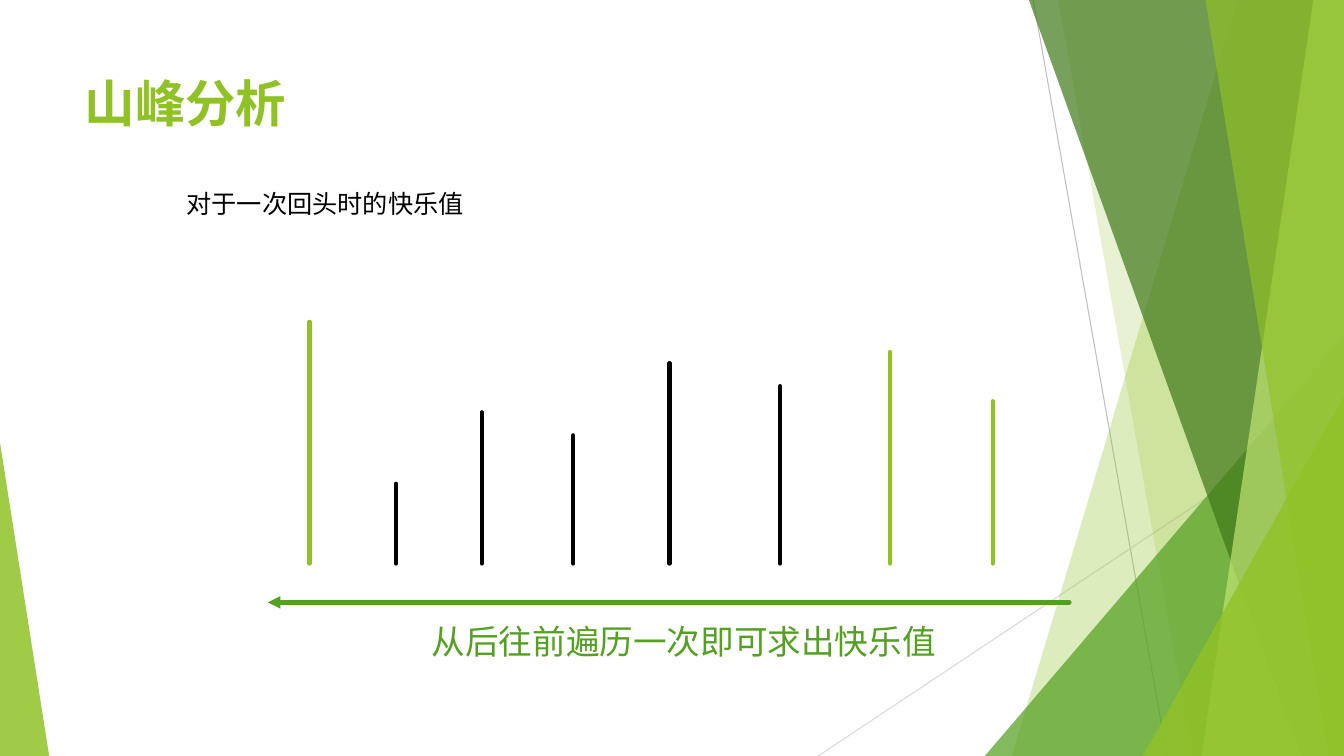
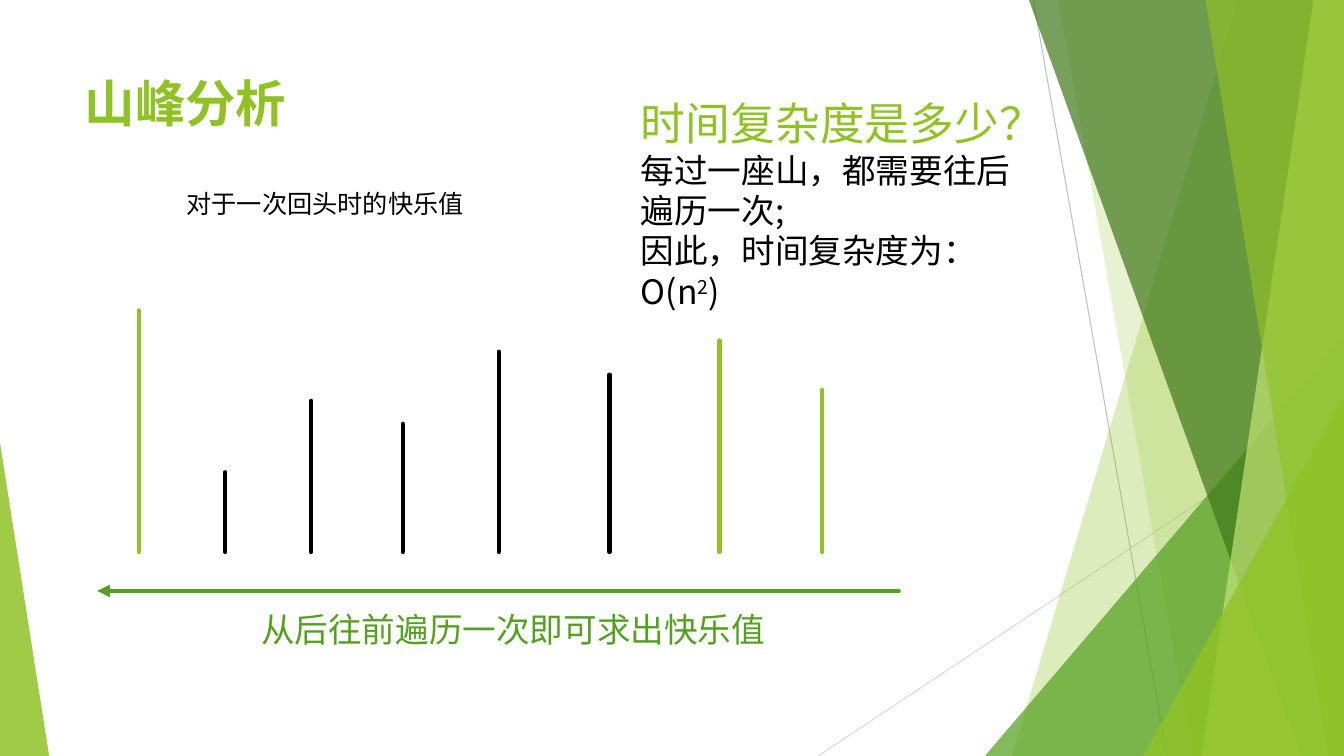
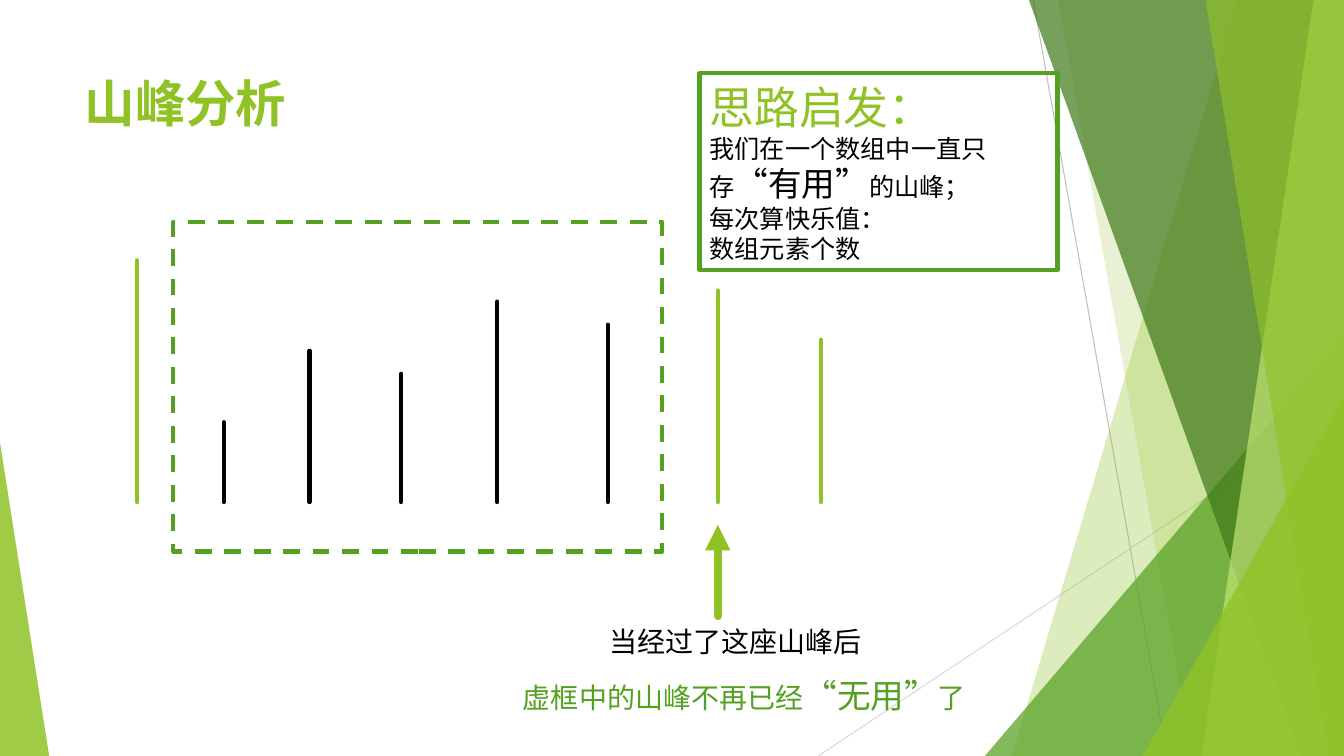
from lxml.etree import SubElement
from pptx import Presentation
from pptx.dml.color import RGBColor
from pptx.enum.dml import MSO_LINE
from pptx.enum.shapes import MSO_CONNECTOR, MSO_SHAPE
from pptx.enum.text import MSO_ANCHOR, MSO_AUTO_SIZE, PP_ALIGN
from pptx.oxml.ns import qn
from pptx.util import Cm, Pt

# Colours, fonts and slide size
LIME = RGBColor(0x90, 0xC2, 0x26)
GREEN = RGBColor(0x54, 0xA0, 0x21)
DARK_GREEN = RGBColor(0x3F, 0x78, 0x19)
PALE_LIME = RGBColor(0xC0, 0xE4, 0x74)
GREY = RGBColor(0xBF, 0xBF, 0xBF)
LIGHT_GREY = RGBColor(0xD9, 0xD9, 0xD9)
BLACK = RGBColor(0, 0, 0)
KARLA = "Karla"
NOTO = "Noto Sans CJK SC"
WIDTH, HEIGHT = 33.87, 19.05


def add_line(slide, start, end, color, width, cap="rnd", arrow=False):
    """Draw a straight line between two points given in centimetres."""
    points = [Cm(value) for value in (*start, *end)]
    connector = slide.shapes.add_connector(MSO_CONNECTOR.STRAIGHT, *points)
    connector.line.color.rgb = color
    connector.line.width = Pt(width)
    properties = connector.element.spPr
    outline = properties.find(qn("a:ln"))
    outline.set("cap", cap)
    if arrow:
        SubElement(outline, qn("a:tailEnd"), type="triangle")
    SubElement(properties, qn("a:effectLst"))
    return connector


def write_text(shape, paragraphs):
    """Fill a shape with paragraphs of (text, size, font, colour, baseline) runs."""
    frame = shape.text_frame
    frame.word_wrap = True
    frame.auto_size = MSO_AUTO_SIZE.SHAPE_TO_FIT_TEXT
    for index, runs in enumerate(paragraphs):
        paragraph = frame.add_paragraph() if index else frame.paragraphs[0]
        paragraph.alignment = PP_ALIGN.LEFT
        for text, size, font, color, *baseline in runs:
            run = paragraph.add_run()
            run.text = text
            formats = {"size": Pt(size), "name": font}
            for name, value in formats.items():
                setattr(run.font, name, value)
            run.font.color.rgb = color
            if baseline:
                run._r.get_or_add_rPr().set("baseline", str(baseline[0] * 1000))


presentation = Presentation()
presentation.slide_width = Cm(WIDTH)
presentation.slide_height = Cm(HEIGHT)
layout = presentation.slide_layouts[5]
slides = [presentation.slides.add_slide(layout) for _ in range(3)]
sweep_slide, cost_slide, idea_slide = slides

# Facets: bands have a top and a bottom left corner, triangles a box and an apex
facets = [
    ("band", (31.19, 25.5), LIME, 30),
    ("band", (26.67, 30.05), LIME, 20),
    ("triangle", (24.82, 8.46, 9.05, 1), GREEN, 72),
    ("band", (25.93, 32.79), DARK_GREEN, 70),
    ("band", (33.1, 30.28), PALE_LIME, 70),
    ("band", (30.38, 33.48), LIME, 65),
    ("triangle", (28.8, 9.98, 5.07, 1), LIME, 80),
    ("triangle", (0, 11.15, 1.24, 0), LIME, 85),
]
decoration = [
    add_line(sweep_slide, (26.04, 0), (29.41, HEIGHT), GREY, 0.75, "flat"),
    add_line(sweep_slide, (WIDTH, 10.24), (20.62, HEIGHT), LIGHT_GREY, 0.75, "flat"),
]
for kind, geometry, color, opacity in facets:
    if kind == "band":
        top_x, bottom_x = geometry
        builder = sweep_slide.shapes.build_freeform(Cm(top_x), Cm(0))
        corners = [(WIDTH, 0), (WIDTH, HEIGHT), (bottom_x, HEIGHT)]
        builder.add_line_segments([(Cm(x), Cm(y)) for x, y in corners])
        facet = builder.convert_to_shape()
    else:
        left, top, width, apex = geometry
        facet = sweep_slide.shapes.add_shape(
            MSO_SHAPE.ISOSCELES_TRIANGLE,
            Cm(left), Cm(top), Cm(width), Cm(HEIGHT - top))
        facet.adjustments[0] = apex
    facet.shadow.inherit = False
    facet.fill.solid()
    facet.fill.fore_color.rgb = color
    facet.line.fill.background()
    fill_color = facet.element.spPr.find(qn("a:solidFill")).find(qn("a:srgbClr"))
    SubElement(fill_color, qn("a:alpha"), val=str(opacity * 1000))
    decoration.append(facet)

# Move the facets to the layout, behind its placeholders
layout_tree = layout.placeholders[0].element.getparent()
for position, shape in enumerate(decoration, start=2):
    layout_tree.insert(position, shape.element)

# Titles
title_box = {"left": Cm(1.88), "top": Cm(1.7), "width": Cm(23.88), "height": Cm(3.66)}
title_font = {"size": Pt(36), "name": KARLA, "bold": True}
for slide in slides:
    title = slide.shapes.title
    for name, value in title_box.items():
        setattr(title, name, value)
    title.text_frame.text = "山峰分析"
    title.text_frame.vertical_anchor = MSO_ANCHOR.TOP
    paragraph = title.text_frame.paragraphs[0]
    paragraph.alignment = PP_ALIGN.LEFT
    font = paragraph.runs[0].font
    for name, value in title_font.items():
        setattr(font, name, value)
    font.color.rgb = LIME

# Peaks: distance from the first one, height, colour
peaks = [
    (0, 6.09, LIME), (2.18, 2.01, BLACK), (4.34, 3.81, BLACK), (6.65, 3.23, BLACK),
    (9.07, 5.05, BLACK), (11.86, 4.47, BLACK), (14.63, 5.33, LIME), (17.22, 4.09, LIME),
]
peak_origins = [(7.8, 14.2), (3.5, 13.91), (3.46, 12.65)]
for slide, (left, base) in zip(slides, peak_origins):
    for offset, height, color in peaks:
        x = left + offset
        add_line(slide, (x, base - height), (x, base), color, 3)

# Backward sweep below the peaks
for slide, (left, base) in zip(slides[:2], peak_origins):
    heading = slide.shapes.add_textbox(Cm(4.45), Cm(4.62), Cm(8.23), Cm(1.02))
    write_text(heading, [[("对于一次回头时的快乐值", 18, NOTO, BLACK)]])
    sweep_y = base + 0.98
    add_line(slide, (left + 19.15, sweep_y), (left - 1.05, sweep_y), GREEN, 3, arrow=True)
    caption = slide.shapes.add_textbox(Cm(left + 2.83), Cm(base + 1.32), Cm(13.46), Cm(1.27))
    write_text(caption, [[("从后往前遍历一次即可求出快乐值", 24, NOTO, GREEN)]])

# Time complexity
complexity = cost_slide.shapes.add_textbox(Cm(15.9), Cm(2.29), Cm(10.52), Cm(5.74))
write_text(complexity, [
    [("时间复杂度是多少？", 32, NOTO, LIME)],
    [("每过一座山，都需要往后遍历一次;", 24, NOTO, BLACK)],
    [("因此，时间复杂度为：", 24, NOTO, BLACK)],
    [("O(n", 24, NOTO, BLACK), ("2", 24, NOTO, BLACK, 30), (")", 24, NOTO, BLACK)],
])

# Frame around the useless peaks, and the idea box
useless_frame = idea_slide.shapes.add_shape(
    MSO_SHAPE.RECTANGLE, Cm(4.37), Cm(5.59), Cm(12.32), Cm(8.31))
useless_frame.line.dash_style = MSO_LINE.DASH
idea_box = idea_slide.shapes.add_shape(
    MSO_SHAPE.RECTANGLE, Cm(17.63), Cm(1.85), Cm(9.02), Cm(4.95))
for frame in (useless_frame, idea_box):
    frame.shadow.inherit = False
    frame.fill.background()
    frame.line.color.rgb = GREEN
    frame.line.width = Pt(3)
write_text(idea_box, [
    [("思路启发：", 32, NOTO, LIME)],
    [("我们在一个数组中一直只存", 18, KARLA, BLACK),
     ("“有用”", 24, NOTO, BLACK),
     ("的山峰；", 18, KARLA, BLACK)],
    [("每次算快乐值：", 18, KARLA, BLACK)],
    [("数组元素个数", 18, KARLA, BLACK)],
])

# Pointer to the current peak
add_line(idea_slide, (18.09, 15.52), (18.09, 13.23), LIME, 6, arrow=True)
passed_label = idea_slide.shapes.add_textbox(Cm(15.11), Cm(15.62), Cm(7.42), Cm(1.12))
write_text(passed_label, [[("当经过了这座山峰后", 20, KARLA, BLACK)]])
useless_label = idea_slide.shapes.add_textbox(Cm(12.93), Cm(16.87), Cm(11.79), Cm(1.27))
write_text(useless_label, [[
    ("虚框中的山峰不再已经", 20, KARLA, GREEN),
    ("“无用”", 24, NOTO, GREEN),
    ("了", 20, KARLA, GREEN),
]])

presentation.save("out.pptx")
